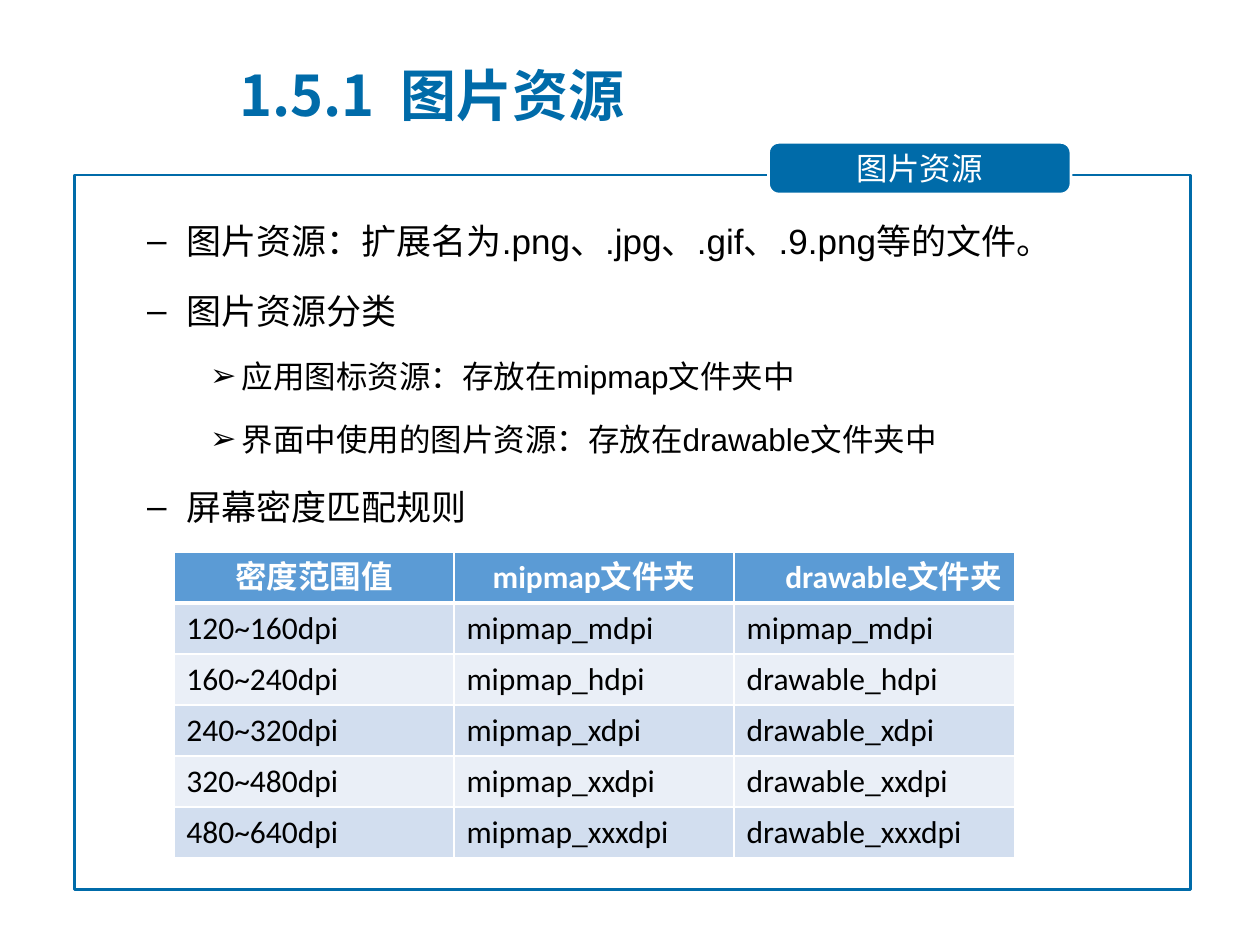
from dataclasses import dataclass

from lxml import etree
from pptx import Presentation
from pptx.dml.color import RGBColor
from pptx.enum.shapes import MSO_SHAPE
from pptx.enum.text import MSO_ANCHOR, PP_ALIGN
from pptx.oxml.ns import qn
from pptx.util import Inches, Pt

RECTANGLE = MSO_SHAPE.RECTANGLE
ROUNDED = MSO_SHAPE.ROUNDED_RECTANGLE
MIDDLE = MSO_ANCHOR.MIDDLE
LEFT, CENTER, RIGHT = PP_ALIGN.LEFT, PP_ALIGN.CENTER, PP_ALIGN.RIGHT

BLUE = RGBColor(0x00, 0x6B, 0xA9)
WHITE = RGBColor(0xFF, 0xFF, 0xFF)
BLACK = RGBColor(0x00, 0x00, 0x00)
HEADER_FILL = RGBColor(0x5B, 0x9B, 0xD5)
BAND_FILLS = (RGBColor(0xD2, 0xDE, 0xEF), RGBColor(0xEA, 0xEF, 0xF7))

CJK = "Noto Sans CJK SC"
ARIAL = "Arial"
CALIBRI = "Calibri"


@dataclass(frozen=True)
class Level:
    depth: int
    bullet: str
    margin: float
    hanging: float
    size: int


@dataclass(frozen=True)
class Point:
    text: str
    level: Level
    font: str = ARIAL


MAIN = Level(1, "–", 0.81, 0.31, 20)
DETAIL = Level(2, "➢", 1.25, 0.25, 18)

POINTS = (
    Point("图片资源：扩展名为.png、.jpg、.gif、.9.png等的文件。", MAIN),
    Point("图片资源分类", MAIN),
    Point("应用图标资源：存放在mipmap文件夹中", DETAIL),
    Point("界面中使用的图片资源：存放在drawable文件夹中", DETAIL),
    Point("屏幕密度匹配规则", MAIN, CALIBRI),
)

HEADERS = (("密度范围值", CENTER), ("mipmap文件夹", CENTER), ("drawable文件夹", RIGHT))
ROWS = (
    ("120~160dpi", "mipmap_mdpi", "mipmap_mdpi"),
    ("160~240dpi", "mipmap_hdpi", "drawable_hdpi"),
    ("240~320dpi", "mipmap_xdpi", "drawable_xdpi"),
    ("320~480dpi", "mipmap_xxdpi", "drawable_xxdpi"),
    ("480~640dpi", "mipmap_xxxdpi", "drawable_xxxdpi"),
)


def add_span(para, text: str, font: str, size: int, color: RGBColor, bold: bool = False) -> None:
    span = para.add_run()
    span.text = text
    span.font.name = font
    span.font.size = Pt(size)
    span.font.bold = bold
    span.font.color.rgb = color
    latin = span.font._element.find(qn("a:latin"))
    east_asian = etree.Element(qn("a:ea"), typeface=font)
    latin.addnext(east_asian)


def set_indent(para, margin: float, hanging: float) -> None:
    properties = para._p.get_or_add_pPr()
    properties.set("marL", str(Inches(margin)))
    properties.set("indent", str(-Inches(hanging)))


def add_title(page) -> None:
    title = page.shapes.title
    title.left, title.top = Inches(1.8), Inches(0.44)
    title.width, title.height = Inches(7.93), Inches(0.61)
    title.text_frame.vertical_anchor = MIDDLE
    para = title.text_frame.paragraphs[0]
    para.alignment = LEFT
    set_indent(para, 0.62, 0.62)
    add_span(para, "1.5.1  图片资源", CJK, 32, BLUE, True)


def add_points(page, points: tuple[Point, ...]) -> None:
    box = page.shapes.add_textbox(Inches(0.57), Inches(1.53), Inches(8.72), Inches(2.78))
    frame = box.text_frame
    frame.word_wrap = True
    for index, point in enumerate(points):
        para = frame.paragraphs[0] if index == 0 else frame.add_paragraph()
        level = point.level
        para.level = level.depth
        set_indent(para, level.margin, level.hanging)
        properties = para._p.get_or_add_pPr()
        etree.SubElement(properties, qn("a:buFont"), typeface=ARIAL)
        etree.SubElement(properties, qn("a:buChar"), char=level.bullet)
        para.line_spacing = 1.5
        if index:
            para.space_before = Pt(level.size * 0.2)
        add_span(para, point.text, point.font, level.size, BLACK)


def add_frame(page) -> None:
    border = page.shapes.add_shape(RECTANGLE, Inches(0.59), Inches(1.39), Inches(8.86), Inches(5.67))
    border.shadow.inherit = False
    border.fill.background()
    border.line.color.rgb = BLUE
    border.line.width = Pt(1.5)


def add_tab(page) -> None:
    tab = page.shapes.add_shape(ROUNDED, Inches(6.1), Inches(1.13), Inches(2.4), Inches(0.41))
    tab.adjustments[0] = 0.2
    tab.shadow.inherit = False
    tab.fill.solid()
    tab.fill.fore_color.rgb = BLUE
    tab.line.color.rgb = WHITE
    tab.line.width = Pt(1.5)
    frame = tab.text_frame
    frame.margin_left = frame.margin_right = Inches(0.24)
    frame.margin_top = frame.margin_bottom = Inches(0.06)
    frame.vertical_anchor = MIDDLE
    para = frame.paragraphs[0]
    para.alignment = CENTER
    add_span(para, "图片资源", CJK, 18, WHITE)


def set_borders(cell, widths: dict[str, int]) -> None:
    properties = cell._tc.get_or_add_tcPr()
    for side, width in widths.items():
        line = etree.SubElement(properties, qn(f"a:{side}"), w=str(Pt(width)))
        fill = etree.SubElement(line, qn("a:solidFill"))
        etree.SubElement(fill, qn("a:srgbClr"), val=str(WHITE))


def fill_cell(cell, text: str, alignment: PP_ALIGN, fill: RGBColor, color: RGBColor,
              bold: bool, top: int, bottom: int) -> None:
    set_borders(cell, {"lnL": 1, "lnR": 1, "lnT": top, "lnB": bottom})
    cell.fill.solid()
    cell.fill.fore_color.rgb = fill
    para = cell.text_frame.paragraphs[0]
    para.alignment = alignment
    add_span(para, text, CALIBRI, 18, color, bold)


def add_density_table(page) -> None:
    table = page.shapes.add_table(
        len(ROWS) + 1, len(HEADERS), Inches(1.38), Inches(4.38), Inches(6.67), Inches(2.43)
    ).table
    for column, (text, alignment) in enumerate(HEADERS):
        fill_cell(table.cell(0, column), text, alignment, HEADER_FILL, WHITE, True, 1, 3)
    for row, texts in enumerate(ROWS, start=1):
        fill = BAND_FILLS[(row - 1) % 2]
        top = 3 if row == 1 else 1
        for column, text in enumerate(texts):
            fill_cell(table.cell(row, column), text, LEFT, fill, BLACK, False, top, 1)


def main() -> None:
    deck = Presentation()
    deck.slide_width, deck.slide_height = Inches(10), Inches(7.5)
    page = deck.slides.add_slide(deck.slide_layouts[5])
    add_points(page, POINTS)
    add_frame(page)
    add_tab(page)
    add_title(page)
    add_density_table(page)
    deck.save("out.pptx")


if __name__ == "__main__":
    main()
